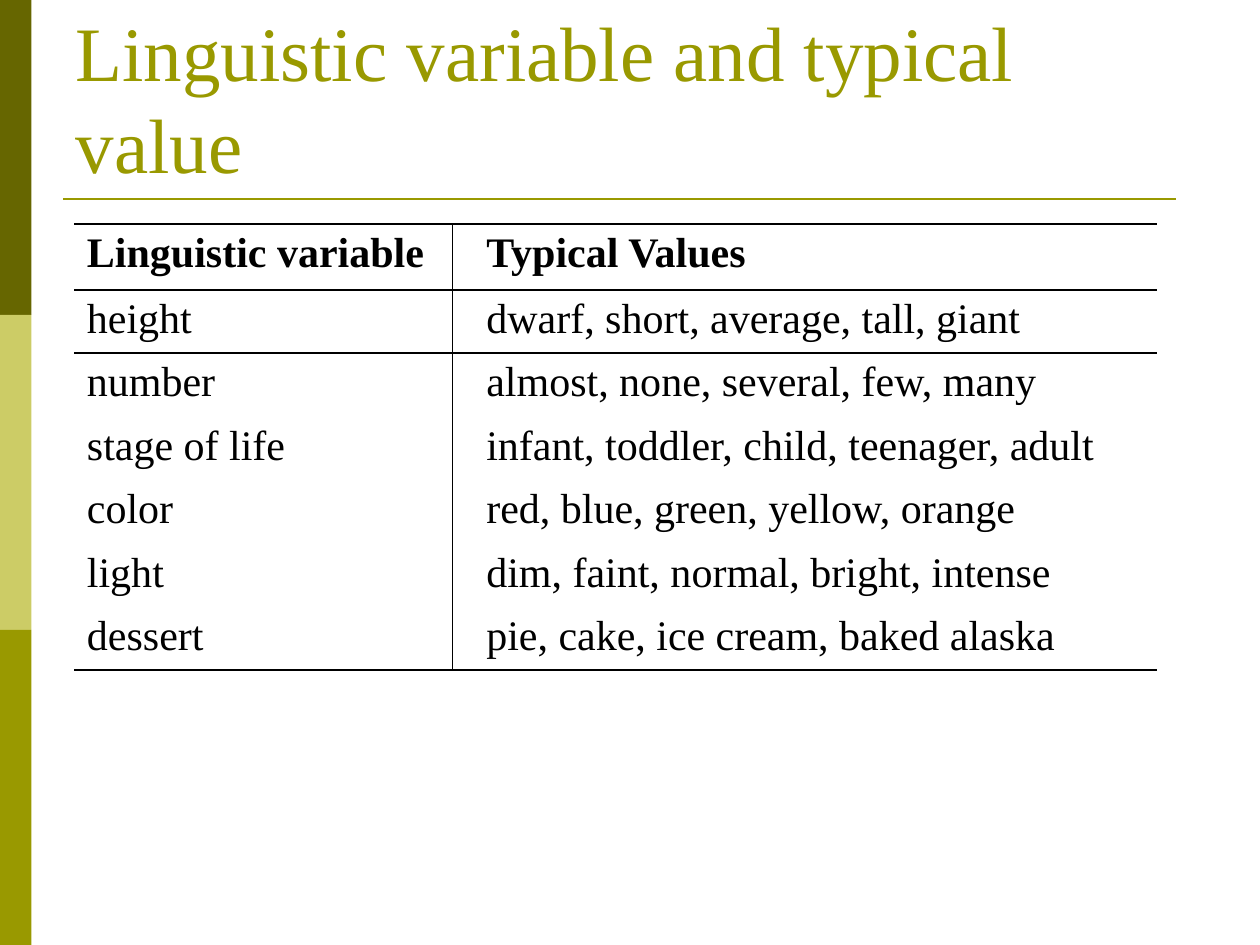
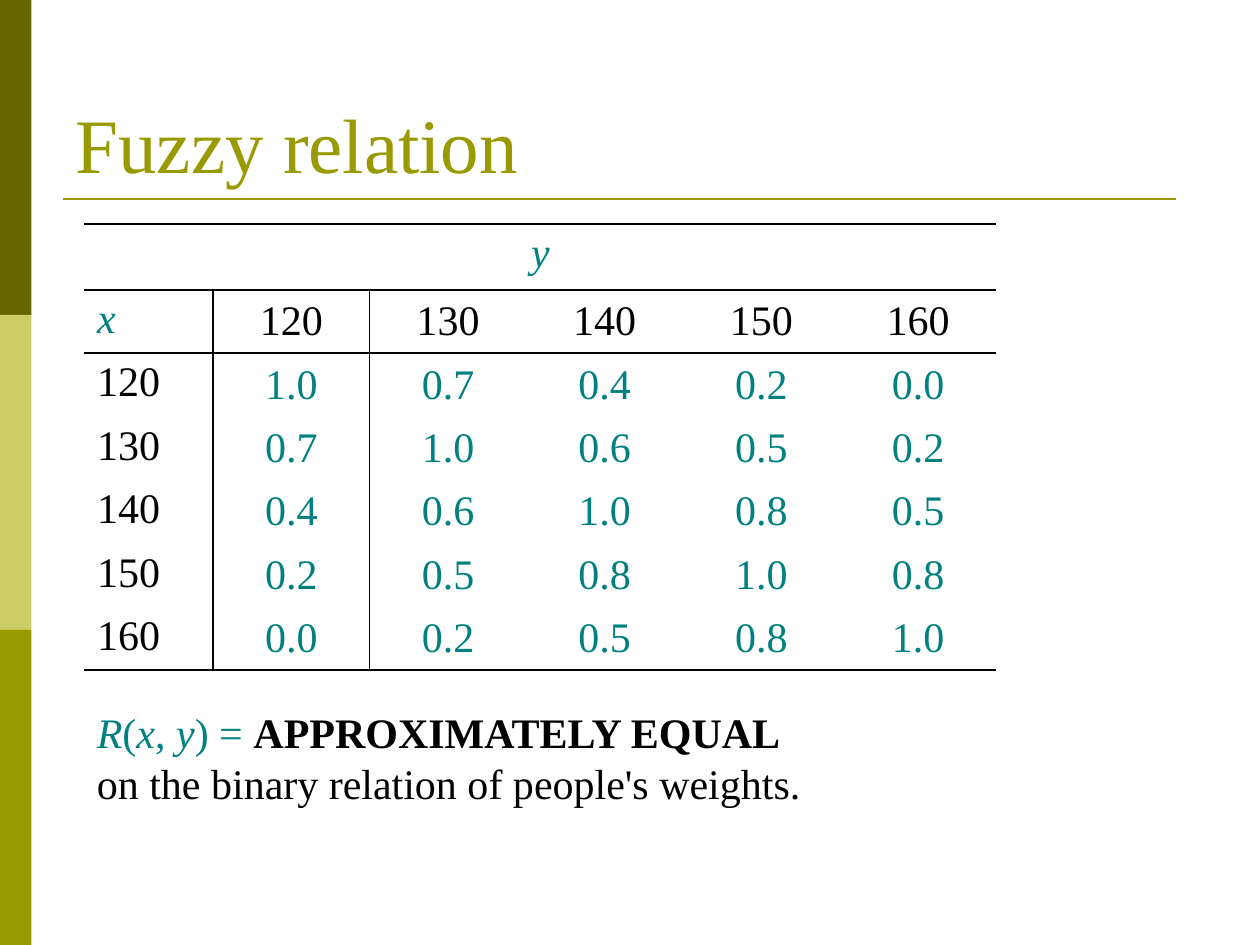
"""Build two slides on linguistic variables and a fuzzy relation."""
from dataclasses import dataclass

from lxml.etree import SubElement
from pptx import Presentation
from pptx.dml.color import RGBColor
from pptx.enum.shapes import MSO_CONNECTOR, MSO_SHAPE
from pptx.enum.text import MSO_ANCHOR, MSO_AUTO_SIZE, PP_ALIGN
from pptx.oxml.ns import qn
from pptx.util import Inches, Pt


@dataclass(frozen=True)
class Theme:
    font: str = "Times New Roman"
    olive: str = "999900"
    dark: str = "666600"
    pale: str = "CCCC66"
    teal: str = "008080"
    ink: str = "000000"
    head: int = 44
    body: int = 24
    rule: float = 1.5
    thick: float = 1.08
    thin: float = 0.45
    plain: str = "{2D5ABB26-0587-4C30-8999-92F81FD0307C}"


theme = Theme()


def write(para, text, color=theme.ink, size=theme.body, bold=False, italic=False):
    """Add one formatted run."""
    run = para.add_run()
    run.text = text
    font = run.font
    font.name, font.size = theme.font, Pt(size)
    font.bold, font.italic = bold, italic
    font.color.rgb = RGBColor.from_string(color)


def edge(cell, sides):
    """Draw cell borders from a map of side to width, then clear the fill."""
    props = cell._tc.get_or_add_tcPr()
    for side in "LRTB":
        if side in sides:
            line = SubElement(props, qn(f"a:ln{side}"), w=str(Pt(sides[side])))
            fill = SubElement(line, qn("a:solidFill"))
            SubElement(fill, qn("a:srgbClr"), val=theme.ink)
    cell.fill.background()


deck = Presentation()
deck.slide_width, deck.slide_height = Inches(10), Inches(7.5)
layout = deck.slide_layouts[5]

slides = []
for text in ("Linguistic variable and typical value", "Fuzzy relation"):
    slide = deck.slides.add_slide(layout)
    title = slide.shapes.title
    title.left, title.top = Inches(0.5), Inches(0.3)
    title.width, title.height = Inches(9), Inches(1.25)
    frame = title.text_frame
    frame.auto_size = MSO_AUTO_SIZE.NONE
    frame.vertical_anchor = MSO_ANCHOR.BOTTOM
    frame.paragraphs[0].alignment = PP_ALIGN.LEFT
    write(frame.paragraphs[0], text, theme.olive, theme.head)
    slides.append(slide)
first, second = slides

decor = []
for i, color in enumerate((theme.dark, theme.pale, theme.olive)):
    band = first.shapes.add_shape(
        MSO_SHAPE.RECTANGLE, 0, Inches(2.5 * i), Inches(0.25), Inches(2.5))
    band.shadow.inherit = False
    band.fill.solid()
    band.fill.fore_color.rgb = RGBColor.from_string(color)
    band.line.fill.background()
    decor.append(band)
rule = first.shapes.add_connector(
    MSO_CONNECTOR.STRAIGHT, Inches(0.5), Inches(1.58), Inches(9.33), Inches(1.58))
rule.line.color.rgb = RGBColor.from_string(theme.olive)
rule.line.width = Pt(theme.rule)
SubElement(rule.element.spPr, qn("a:effectLst"))
decor.append(rule)
for shape in decor:
    layout.shapes.element.append(shape.element)

terms = [
    ("Linguistic variable", "Typical Values"),
    ("height", "dwarf, short, average, tall, giant"),
    ("number", "almost, none, several, few, many"),
    ("stage of life", "infant, toddler, child, teenager, adult"),
    ("color", "red, blue, green, yellow, orange"),
    ("light", "dim, faint, normal, bright, intense"),
    ("dessert", "pie, cake, ice cream, baked alaska"),
]
weights = ["120", "130", "140", "150", "160"]
grades = [
    ["1.0", "0.7", "0.4", "0.2", "0.0"],
    ["0.7", "1.0", "0.6", "0.5", "0.2"],
    ["0.4", "0.6", "1.0", "0.8", "0.5"],
    ["0.2", "0.5", "0.8", "1.0", "0.8"],
    ["0.0", "0.2", "0.5", "0.8", "1.0"],
]
matrix = [["y"] + [""] * 5, ["x"] + weights]
matrix += [[weight] + row for weight, row in zip(weights, grades)]

tables = []
for slide, rows, left, widths, stem, start in (
    (first, terms, 0.59, [3, 5.59], theme.thin, 0),
    (second, matrix, 0.67, [1.02] + [6.22 / 5] * 5, theme.thick, 1),
):
    holder = slide.shapes.add_table(
        len(rows), len(widths), Inches(left), Inches(1.78),
        Inches(sum(widths)), Inches(3.54))
    table = holder.table
    table.first_row = table.horz_banding = False
    for style in holder.element.iter(qn("a:tableStyleId")):
        style.text = theme.plain
    for column, width in zip(table.columns, widths):
        column.width = Inches(width)
    for r, row in enumerate(table.rows):
        row.height = Inches(3.02 / 6 if r else 0.52)
        for c, cell in enumerate(row.cells):
            sides = {}
            if r < 2:
                sides["T"] = theme.thick
            if r in (0, len(rows) - 1):
                sides["B"] = theme.thick
            if r >= start and c < 2:
                sides["L" if c else "R"] = stem
            edge(cell, sides)
    tables.append(table)

for r, row in enumerate(terms):
    for c, text in enumerate(row):
        cell = tables[0].cell(r, c)
        cell.margin_left = Inches(0.27 if c else 0.1)
        write(cell.text_frame.paragraphs[0], text, bold=r == 0)

grid = tables[1]
grid.cell(0, 0).merge(grid.cell(0, 5))
for r, row in enumerate(matrix):
    for c, text in enumerate(row):
        if not text:
            continue
        cell = grid.cell(r, c)
        para = cell.text_frame.paragraphs[0]
        if r == 0 or c:
            para.alignment = PP_ALIGN.CENTER
        if c:
            cell.vertical_anchor = MSO_ANCHOR.MIDDLE
        axis = text in ("x", "y")
        value = r > 1 and c > 0
        write(para, text, theme.teal if axis or value else theme.ink, italic=axis)

note = second.shapes.add_textbox(Inches(0.67), Inches(5.56), Inches(7.32), Inches(0.9))
frame = note.text_frame
frame.word_wrap = True
para = frame.paragraphs[0]
for text in ("R", "(", "x", ", ", "y", ") = "):
    write(para, text, theme.teal, italic=text.isalpha())
write(para, "APPROXIMATELY EQUAL", bold=True)
write(frame.add_paragraph(), "on the binary relation of people's weights.")

deck.save("out.pptx")
